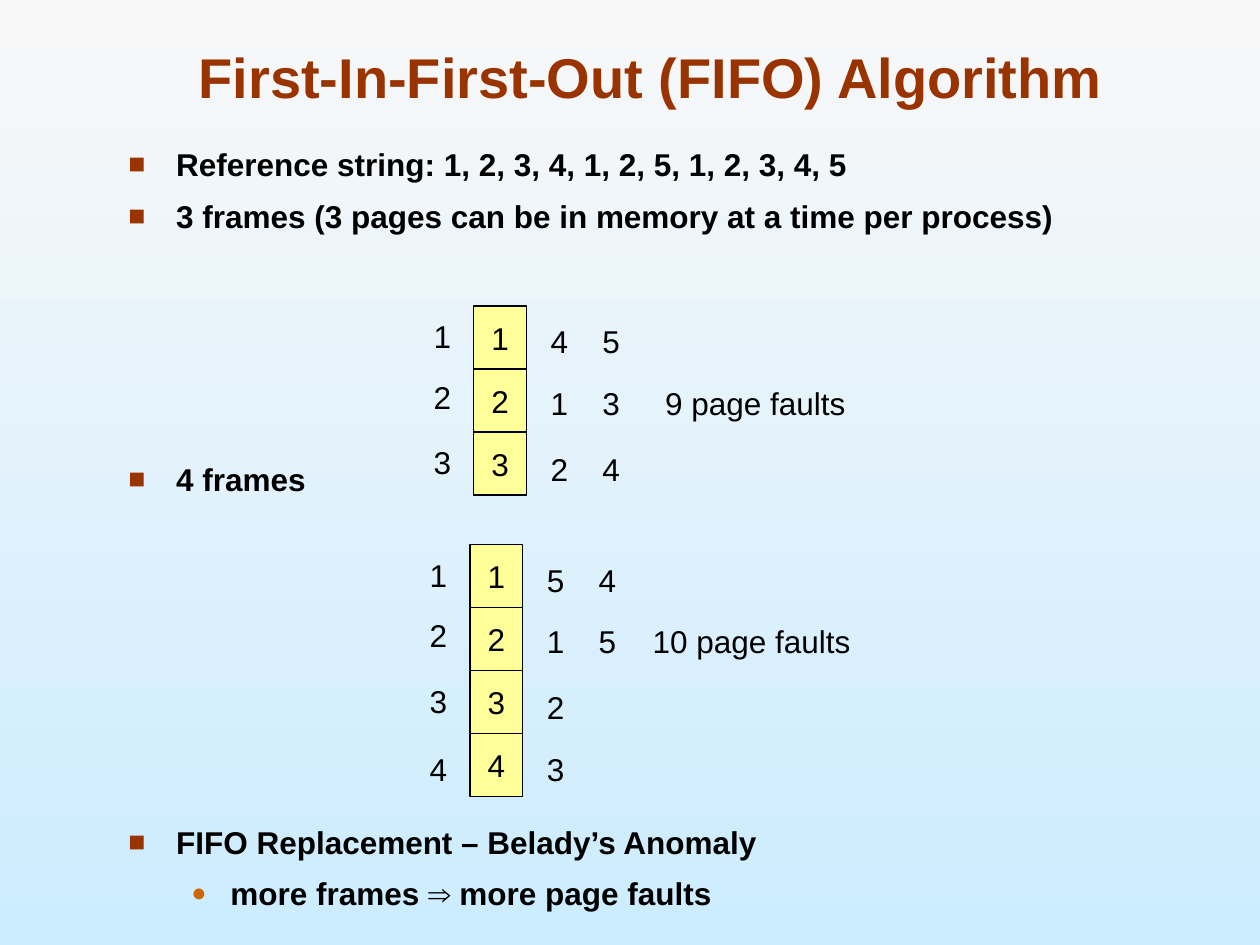
from lxml import etree
from pptx import Presentation
from pptx.dml.color import RGBColor
from pptx.enum.shapes import MSO_SHAPE
from pptx.enum.text import MSO_ANCHOR, MSO_AUTO_SIZE, PP_ALIGN
from pptx.oxml.ns import qn
from pptx.util import Inches, Pt

RECTANGLE = MSO_SHAPE.RECTANGLE
MIDDLE, BOTTOM = MSO_ANCHOR.MIDDLE, MSO_ANCHOR.BOTTOM
CENTER, LEFT = PP_ALIGN.CENTER, PP_ALIGN.LEFT
NO_FIT = MSO_AUTO_SIZE.NONE
TITLE_ONLY = 5


class Theme:
    font = "Arial"
    title_size, text_size = 32, 18
    title, text, line = "993300", "000000", "000000"
    frame = "FFFF99"
    sky_top, sky_bottom = "F8F8F8", "CCECFF"
    # Per level: character, colour, size in percent, indent, hanging
    bullets = [("■", "993300", 90, 0.38, 0.38), ("●", "CC6600", 80, 0.81, 0.31)]


# Content
TITLE = "First-In-First-Out (FIFO) Algorithm"
POINTS = [  # text, level, space before in points
    ("Reference string: 1, 2, 3, 4, 1, 2, 5, 1, 2, 3, 4, 5", 0, 0),
    ("3 frames (3 pages can be in memory at a time per process)", 0, 8),
    ("4 frames", 0, 129),
    ("FIFO Replacement – Belady’s Anomaly", 0, 185.5),
    ("more frames ⇒ more page faults", 1, 8),
]
DIAGRAMS = [
    {"left": 3.76, "top": 2.43, "frames": "123", "replaced": ["412", "534"],
     "faults": "9 page faults", "faults_at": (5.18, 1.63)},
    {"left": 3.73, "top": 4.32, "frames": "1234", "replaced": ["5123", "45"],
     "faults": "10 page faults", "faults_at": (5.08, 1.77)},
]

# Diagram measures, relative to the top left of the first frame
FRAME_WIDTH, FRAME_HEIGHT = 0.42, 0.5
LABEL_WIDTH, LABEL_HEIGHT = 0.34, 0.4
NUMBER_LEFT, REPLACED_LEFTS = -0.42, (0.51, 0.92)
NUMBER_TOPS = (0.04, 0.52, 1.04, 1.58)
REPLACED_TOPS = (0.08, 0.57, 1.09, 1.58)


def rgb(value):
    return RGBColor.from_string(value)


def style(para, size, colour, bold=False, align=LEFT):
    para.alignment = align
    for span in para.runs:
        span.font.name = Theme.font
        span.font.size = Pt(size)
        span.font.bold = bold
        span.font.color.rgb = rgb(colour)


def add_bullet(para, level):
    character, colour, percent, indent, hanging = Theme.bullets[level]
    properties = para._p.get_or_add_pPr()
    properties.set("marL", str(Inches(indent)))
    properties.set("indent", str(-Inches(hanging)))
    holder = etree.SubElement(properties, qn("a:buClr"))
    etree.SubElement(holder, qn("a:srgbClr"), val=colour)
    etree.SubElement(properties, qn("a:buSzPct"), val=str(percent * 1000))
    etree.SubElement(properties, qn("a:buFont"), typeface=Theme.font)
    etree.SubElement(properties, qn("a:buChar"), char=character)


def write_centred(box, text):
    frame = box.text_frame
    frame.word_wrap = False
    frame.vertical_anchor = MIDDLE
    frame.text = text
    style(frame.paragraphs[0], Theme.text_size, Theme.text, align=CENTER)


def add_label(slide, text, left, top, width=LABEL_WIDTH):
    box = slide.shapes.add_textbox(
        Inches(left), Inches(top), Inches(width), Inches(LABEL_HEIGHT))
    write_centred(box, text)


def add_frame(slide, text, left, top):
    box = slide.shapes.add_shape(
        RECTANGLE, Inches(left), Inches(top),
        Inches(FRAME_WIDTH), Inches(FRAME_HEIGHT))
    box.shadow.inherit = False
    box.fill.solid()
    box.fill.fore_color.rgb = rgb(Theme.frame)
    box.line.color.rgb = rgb(Theme.line)
    box.line.width = Pt(0.75)
    write_centred(box, text)


def add_background(slide):
    fill = slide.background.fill
    fill.gradient()
    fill.gradient_angle = 270
    for stop, colour in zip(fill.gradient_stops, (Theme.sky_top, Theme.sky_bottom)):
        stop.color.rgb = rgb(colour)


def add_title(slide):
    title = slide.shapes.title
    title.left, title.top = Inches(0.75), Inches(0.25)
    title.width, title.height = Inches(8.83), Inches(0.67)
    frame = title.text_frame
    frame.text = TITLE
    frame.auto_size = NO_FIT
    frame.vertical_anchor = BOTTOM
    style(frame.paragraphs[0], Theme.title_size, Theme.title, True, CENTER)


def add_points(slide):
    box = slide.shapes.add_textbox(
        Inches(0.92), Inches(1.1), Inches(7.69), Inches(6.4))
    frame = box.text_frame
    frame.word_wrap = True
    for index, (text, level, space) in enumerate(POINTS):
        para = frame.add_paragraph() if index else frame.paragraphs[0]
        para.text = text
        para.level = level
        add_bullet(para, level)
        if space:
            para.space_before = Pt(space)
        style(para, Theme.text_size, Theme.text, True)


def add_diagram(slide, diagram):
    left, top = diagram["left"], diagram["top"]
    # Frames and their numbers
    for row, page in enumerate(diagram["frames"]):
        add_frame(slide, page, left, top + row * FRAME_HEIGHT)
        add_label(slide, str(row + 1), left + NUMBER_LEFT, top + NUMBER_TOPS[row])
    # Pages that replace the first ones
    for offset, pages in zip(REPLACED_LEFTS, diagram["replaced"]):
        for page, drop in zip(pages, REPLACED_TOPS):
            add_label(slide, page, left + offset, top + drop)
    # Fault count beside the second row
    faults_left, faults_width = diagram["faults_at"]
    add_label(slide, diagram["faults"], faults_left, top + REPLACED_TOPS[1], faults_width)


def main():
    deck = Presentation()
    deck.slide_width, deck.slide_height = Inches(10), Inches(7.5)
    slide = deck.slides.add_slide(deck.slide_layouts[TITLE_ONLY])
    add_background(slide)
    add_title(slide)
    add_points(slide)
    for diagram in DIAGRAMS:
        add_diagram(slide, diagram)
    deck.save("out.pptx")


if __name__ == "__main__":
    main()
